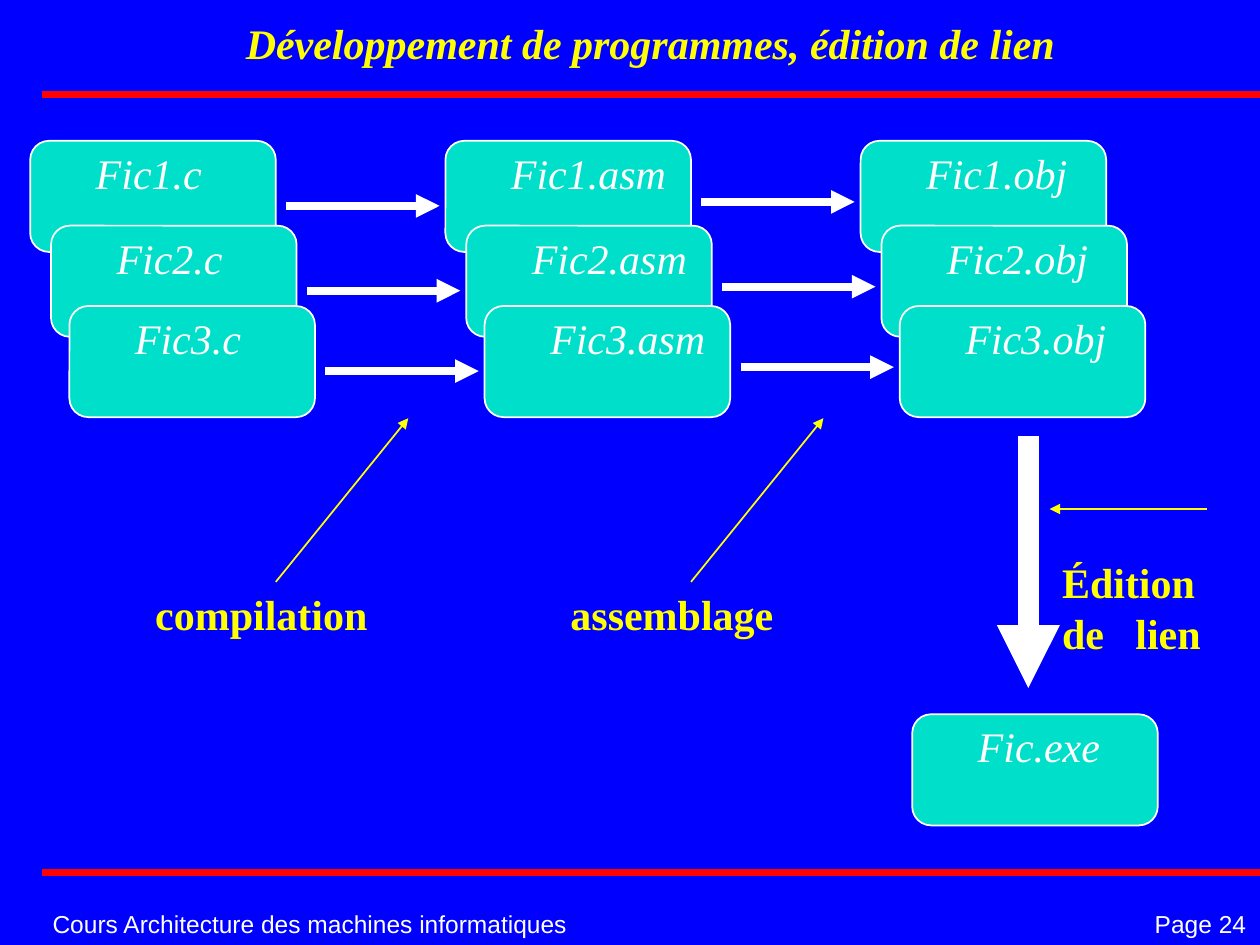
from dataclasses import dataclass

from lxml.etree import SubElement
from pptx import Presentation
from pptx.dml.color import RGBColor as Color
from pptx.enum.shapes import MSO_CONNECTOR as Connector, MSO_SHAPE as Shape
from pptx.enum.text import MSO_ANCHOR as Anchor, MSO_AUTO_SIZE as AutoSize, PP_ALIGN as Align
from pptx.oxml.ns import qn
from pptx.util import Cm, Pt


@dataclass(frozen=True)
class Theme:
    background = Color(0x00, 0x00, 0xFF)
    rule = Color(0xFF, 0x01, 0x00)
    box = Color(0x00, 0xDF, 0xCA)
    white = Color(0xFF, 0xFF, 0xFF)
    accent = Color(0xFF, 0xFF, 0x00)
    serif = "Times New Roman"
    sans = "Arial"
    body_size = 24
    footer_size = 14


class SlideBuilder:
    """Draws styled elements on one slide; all lengths are in centimetres."""
    box_width, box_height = 4.95, 2.24

    def __init__(self, slide, theme):
        self.slide = slide
        self.theme = theme
        fill = slide.background.fill
        fill.solid()
        fill.fore_color.rgb = theme.background

    def format_text(self, text_frame, color, bold=False, italic=False, font=None, size=None):
        for paragraph in text_frame.paragraphs:
            for run in paragraph.runs:
                run.font.name = font or self.theme.serif
                run.font.size = Pt(size or self.theme.body_size)
                run.font.color.rgb = color
                run.font.bold = bold
                run.font.italic = italic

    def text(self, text, left, top, width, height, color, align=Align.LEFT,
             anchor=Anchor.TOP, wrap=False, tab_stop=None, **font_style):
        shape = self.slide.shapes.add_textbox(Cm(left), Cm(top), Cm(width), Cm(height))
        text_frame = shape.text_frame
        text_frame.word_wrap = wrap
        text_frame.auto_size = AutoSize.NONE if wrap else AutoSize.SHAPE_TO_FIT_TEXT
        text_frame.vertical_anchor = anchor
        text_frame.text = text
        for paragraph in text_frame.paragraphs:
            paragraph.alignment = align
            if tab_stop:
                tabs = SubElement(paragraph._p.get_or_add_pPr(), qn("a:tabLst"))
                SubElement(tabs, qn("a:tab"), pos=str(Cm(tab_stop)), algn="l")
        self.format_text(text_frame, color, **font_style)

    def label(self, text, left, top, width, height, **options):
        self.text(text, left, top, width, height, self.theme.accent, bold=True, **options)

    def footer(self, text, left, width, align):
        self.text(text, left, 18.21, width, 0.84, self.theme.white, align, Anchor.MIDDLE,
                  font=self.theme.sans, size=self.theme.footer_size)

    def file_box(self, name, left, top):
        shape = self.slide.shapes.add_shape(Shape.ROUNDED_RECTANGLE, Cm(left), Cm(top),
                                            Cm(self.box_width), Cm(self.box_height))
        shape.adjustments[0] = 0.17
        shape.shadow.inherit = False
        shape.fill.solid()
        shape.fill.fore_color.rgb = self.theme.box
        shape.line.color.rgb = self.theme.white
        shape.line.width = Pt(1)
        text_frame = shape.text_frame
        text_frame.vertical_anchor = Anchor.TOP
        text_frame.margin_left, text_frame.margin_right = Cm(1.21), 0
        text_frame.margin_top = Cm(0.02)
        text_frame.text = name
        text_frame.paragraphs[0].alignment = Align.LEFT
        self.format_text(text_frame, self.theme.white, italic=True)

    def line(self, start, end, color, width, arrow=False):
        connector = self.slide.shapes.add_connector(
            Connector.STRAIGHT, *(Cm(value) for value in (*start, *end)))
        connector.line.color.rgb = color
        connector.line.width = Pt(width)
        if arrow:
            SubElement(connector.line._get_or_add_ln(), qn("a:tailEnd"), type="triangle")
        SubElement(connector._element.spPr, qn("a:effectLst"))

    def rule(self, y):
        self.line((0.84, y), (25.4, y), self.theme.rule, 4)

    def flow_arrow(self, start, end, width=4.5):
        self.line(start, end, self.theme.white, width, arrow=True)

    def pointer(self, start, end):
        self.line(start, end, self.theme.accent, 1, arrow=True)


def main():
    presentation = Presentation()
    presentation.slide_width, presentation.slide_height = Cm(25.4), Cm(19.05)
    theme = Theme()
    builder = SlideBuilder(presentation.slides.add_slide(presentation.slide_layouts[6]), theme)

    builder.rule(1.91)
    builder.rule(17.58)
    builder.footer("Cours Architecture des machines informatiques", 0.81, 10.92, Align.LEFT)
    builder.footer("Page 24", 22.17, 4.06, Align.CENTER)
    builder.label("Développement de programmes, édition de lien", 2.41, 0.43, 21.41, 1.07,
                  align=Align.CENTER, anchor=Anchor.BOTTOM, wrap=True, italic=True)

    first_left, column_step = 0.61, 8.37
    cascade = [(0, 2.84), (0.42, 4.55), (0.79, 6.17)]
    for column, extension in enumerate(("c", "asm", "obj")):
        for number, (shift, top) in enumerate(cascade, start=1):
            left = first_left + column * column_step + shift
            builder.file_box(f"Fic{number}.{extension}", left, top)

    arrow_offset, arrow_length = 5.16, 3.09
    stages = [("compilation", 4.78, 1.31), ("assemblage", 4.6, 1.23)]
    for column, (stage, label_width, arrow_drop) in enumerate(stages):
        column_left = first_left + column * column_step
        for shift, top in cascade:
            x, y = column_left + shift + arrow_offset, top + arrow_drop
            builder.flow_arrow((x, y), (x + arrow_length, y))
        builder.pointer((column_left + 4.95, 11.73), (column_left + 7.62, 8.43))
        builder.label(stage, column_left + 2.27, 11.73, label_width, 1.27)

    builder.flow_arrow((20.73, 8.79), (20.73, 13.87), width=12)
    builder.pointer((24.33, 10.26), (21.16, 10.26))
    builder.label("Édition\nde\tlien", 21.16, 11.1, 3.4, 2.29, tab_stop=1.48)
    builder.file_box("Fic.exe", 18.39, 14.4)

    presentation.save("out.pptx")


if __name__ == "__main__":
    main()
